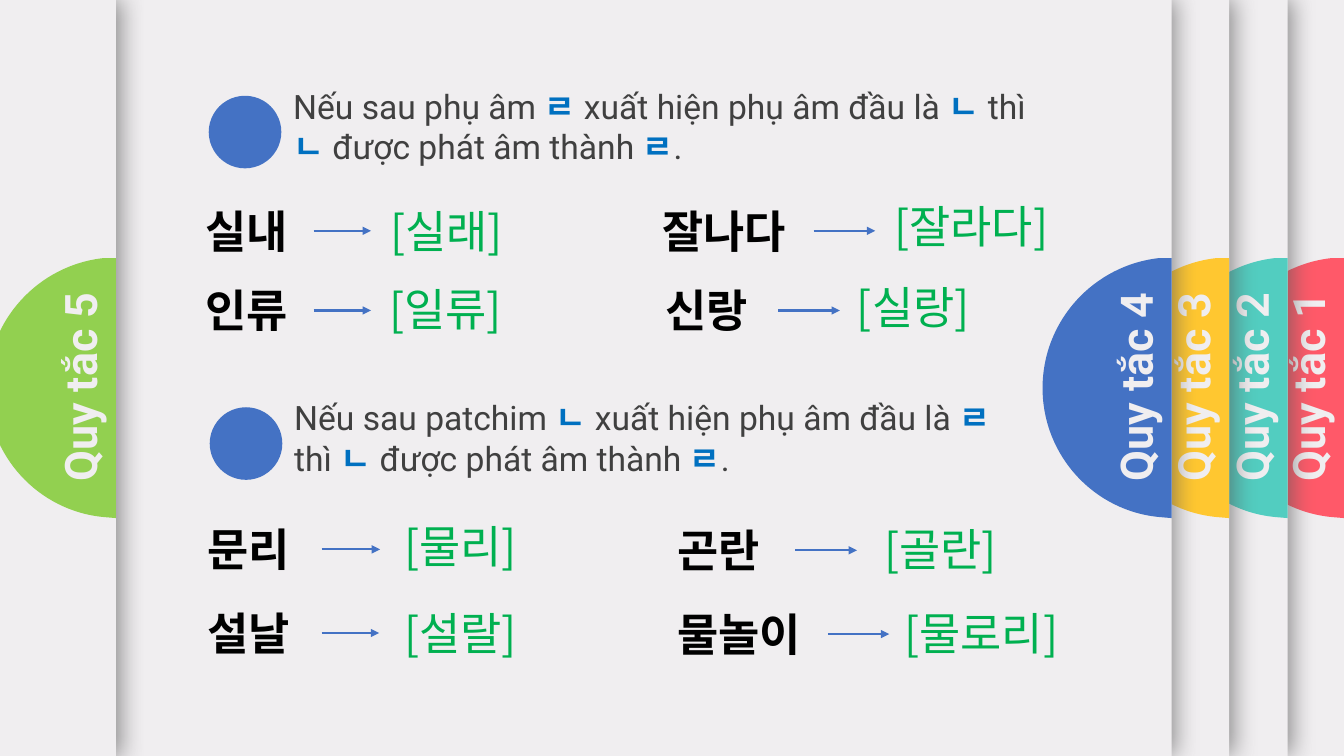
from dataclasses import dataclass

from lxml.etree import SubElement
from pptx import Presentation
from pptx.dml.color import RGBColor
from pptx.enum.shapes import MSO_CONNECTOR, MSO_SHAPE
from pptx.enum.text import MSO_ANCHOR, MSO_AUTO_SIZE, PP_ALIGN
from pptx.oxml.ns import qn
from pptx.util import Inches, Pt


@dataclass(frozen=True)
class Theme:
    paper: str = "F0EEF0"
    shade: str = "595959"
    blue: str = "4472C4"
    ink: str = "404040"
    jamo: str = "0070C0"
    word: str = "000000"
    sound: str = "00B050"
    big: int = 32
    body: int = 24
    roman: str = "Roboto"
    plain: str = "Calibri"
    hangul: str = "Noto Sans CJK KR"


@dataclass(frozen=True)
class Tab:
    name: str
    color: str
    left: float
    edge: float
    title: bool = False


@dataclass(frozen=True)
class Rule:
    text: str  # plain and jamo parts take turns between bars
    left: float
    top: float


@dataclass(frozen=True)
class Pair:
    word: str
    sound: str
    left: float
    top: float
    start: float
    end: float
    goal: float  # left of the sound box
    rise: float  # top of the sound box
    face: str
    width: float = 2.12


T = Theme()
TABS = [
    Tab("Quy tắc 1", "FF5969", -0.32, 13.33),
    Tab("Quy tắc 2", "52CDC0", 0.25, 12.77),
    Tab("Quy tắc 3", "FFC730", 1.29, 12.19),
    Tab("Quy tắc 4", T.blue, 1.15, 11.62, title=True),
    Tab("Quy tắc 5", "92D050", -8.35, 1.15),
]
RULES = [
    Rule("Nếu sau phụ âm |ㄹ |xuất hiện phụ âm đầu là |ㄴ |thì |ㄴ |được phát âm thành |ㄹ|.",
         2.07, 0.95),
    Rule("Nếu sau patchim |ㄴ |xuất hiện phụ âm đầu là |ㄹ |thì |ㄴ |được phát âm thành |ㄹ|.",
         2.08, 4.04),
]
PAIRS = [
    Pair("실내", "[실래]", 1.94, 1.97, 3.11, 3.68, 3.77, 1.97, T.hangul),
    Pair("잘나다", "[잘라다]", 6.47, 1.97, 8.07, 8.68, 8.77, 1.92, T.hangul, 2.2),
    Pair("인류", "[일류]", 1.94, 2.76, 3.11, 3.68, 3.76, 2.75, T.plain),
    Pair("신랑", "[실랑]", 6.5, 2.76, 7.72, 8.33, 8.4, 2.73, T.plain, 1.71),
    Pair("곤란", "[골란]", 6.62, 5.14, 7.89, 8.5, 8.67, 5.13, T.hangul, 1.71),
    Pair("물놀이", "[물로리]", 6.62, 5.97, 8.21, 8.82, 8.87, 5.96, T.plain, 1.71),
    Pair("문리", "[물리]", 1.96, 5.13, 3.19, 3.77, 3.91, 5.1, T.hangul),
    Pair("설날", "[설랄]", 1.96, 5.96, 3.19, 3.76, 3.91, 5.96, T.plain),
]
# Half disc: distance from the panel's edge, and height on the slide
CORNERS = [(0, 2.56), (0, 5.14), (0.12, 5.13), (1.28, 3.85), (0.12, 2.56)]
CURVES = [[(0.77, 5.07), (1.28, 4.52)], [(1.28, 3.18), (0.77, 2.63)]]

deck = Presentation()
deck.slide_width, deck.slide_height = Inches(13.33), Inches(7.5)
slide = deck.slides.add_slide(deck.slide_layouts[5])
shapes = slide.shapes
slide.background.fill.solid()
slide.background.fill.fore_color.rgb = RGBColor.from_string(T.paper)


def paint(shape, color: str) -> None:
    shape.shadow.inherit = False
    shape.fill.solid()
    shape.fill.fore_color.rgb = RGBColor.from_string(color)
    shape.line.fill.background()


def add_run(para, text: str, color: str, base: str, **form) -> None:
    """Add a run; base is the font for East Asian letters."""
    run = para.add_run()
    run.text = text
    for key, value in form.items():
        setattr(run.font, key, value)
    run.font.color.rgb = RGBColor.from_string(color)
    props = run.font._element
    props.find(qn("a:latin")).addnext(props.makeelement(qn("a:ea"), {"typeface": base}))


def set_box(box, left: float, top: float, width: float, height: float):
    """Place a text shape and return its first paragraph."""
    place = dict(left=left, top=top, width=width, height=height)
    for key, value in place.items():
        setattr(box, key, Inches(value))
    frame = box.text_frame
    form = dict(word_wrap=True, auto_size=MSO_AUTO_SIZE.SHAPE_TO_FIT_TEXT,
                vertical_anchor=MSO_ANCHOR.TOP)
    for key, value in form.items():
        setattr(frame, key, value)
    return frame.paragraphs[0]


def new_box():
    return shapes.add_textbox(0, 0, 0, 0)


def draw_disc(edge: float, color: str) -> None:
    """Draw the half disc, with its last two sides bent into curves."""
    spots = [(Inches(edge - x), Inches(y)) for x, y in CORNERS]
    pen = shapes.build_freeform(*spots[0])
    pen.add_line_segments(spots[1:], close=True)
    disc = pen.convert_to_shape()
    paint(disc, color)
    sides = list(disc._element.iter(qn("a:lnTo")))[2:4]
    for side, pulls in zip(sides, CURVES):
        bend = side.makeelement(qn("a:cubicBezTo"), {})
        for x, y in pulls:
            SubElement(bend, qn("a:pt"), x=str(Inches(edge - x) - disc.left),
                       y=str(Inches(y) - disc.top))
        bend.append(side[0])
        side.getparent().replace(side, bend)


def draw_tab(tab: Tab) -> None:
    # Panel with a soft shadow to the right
    panel = shapes.add_shape(MSO_SHAPE.RECTANGLE, Inches(tab.left), 0,
                             Inches(tab.edge - tab.left), Inches(7.5))
    paint(panel, T.paper)
    glow = SubElement(panel._element.spPr.find(qn("a:effectLst")), qn("a:outerShdw"),
                      blurRad=str(Pt(17)), dist=str(Pt(3)), dir="0",
                      algn="l", rotWithShape="0")
    tone = SubElement(glow, qn("a:srgbClr"), val=T.shade)
    SubElement(tone, qn("a:alpha"), val="65000")
    draw_disc(tab.edge, tab.color)

    # Upright label; the open tab is the slide title
    if tab.title:
        label = shapes.title
        shapes._spTree.append(label._element)
    else:
        label = new_box()
    para = set_box(label, tab.edge - 1.45, 3.52, 2.18, 0.64)
    label.rotation = 270
    para.alignment = PP_ALIGN.CENTER
    add_run(para, tab.name, T.paper, T.roman, name=T.roman, size=Pt(T.big), bold=True)


def draw_rule(rule: Rule) -> None:
    disc = shapes.add_shape(MSO_SHAPE.OVAL, Inches(rule.left), Inches(rule.top),
                            Inches(0.72), Inches(0.72))
    paint(disc, T.blue)
    para = set_box(new_box(), rule.left + 0.74, rule.top - 0.15, 7.54, 0.91)
    for i, part in enumerate(rule.text.split("|")):
        jamo = i % 2 == 1
        add_run(para, part, T.jamo if jamo else T.ink, T.roman,
                name=T.roman, size=Pt(T.body), bold=jamo)


def draw_pair(pair: Pair) -> None:
    para = set_box(new_box(), pair.left, pair.top, pair.width, 0.64)
    add_run(para, pair.word, T.word, T.plain, name=pair.face, size=Pt(T.big), bold=True)

    # Arrow level with the middle of the word
    mid = Inches(pair.top + 0.32)
    arrow = shapes.add_connector(MSO_CONNECTOR.STRAIGHT, Inches(pair.start), mid,
                                 Inches(pair.end), mid)
    arrow.line.color.rgb = RGBColor.from_string(T.blue)
    arrow.line.width = Pt(1.5)
    SubElement(arrow.line._get_or_add_ln(), qn("a:tailEnd"), type="triangle")
    SubElement(arrow._element.spPr, qn("a:effectLst"))

    para = set_box(new_box(), pair.goal, pair.rise, 2.05, 0.64)
    add_run(para, pair.sound, T.sound, T.plain, name=T.hangul, size=Pt(T.big), bold=False)


# Tabs from back to front, then the two rules and their examples
for tab in TABS:
    draw_tab(tab)
for rule in RULES:
    draw_rule(rule)
for pair in PAIRS:
    draw_pair(pair)

deck.save("out.pptx")
